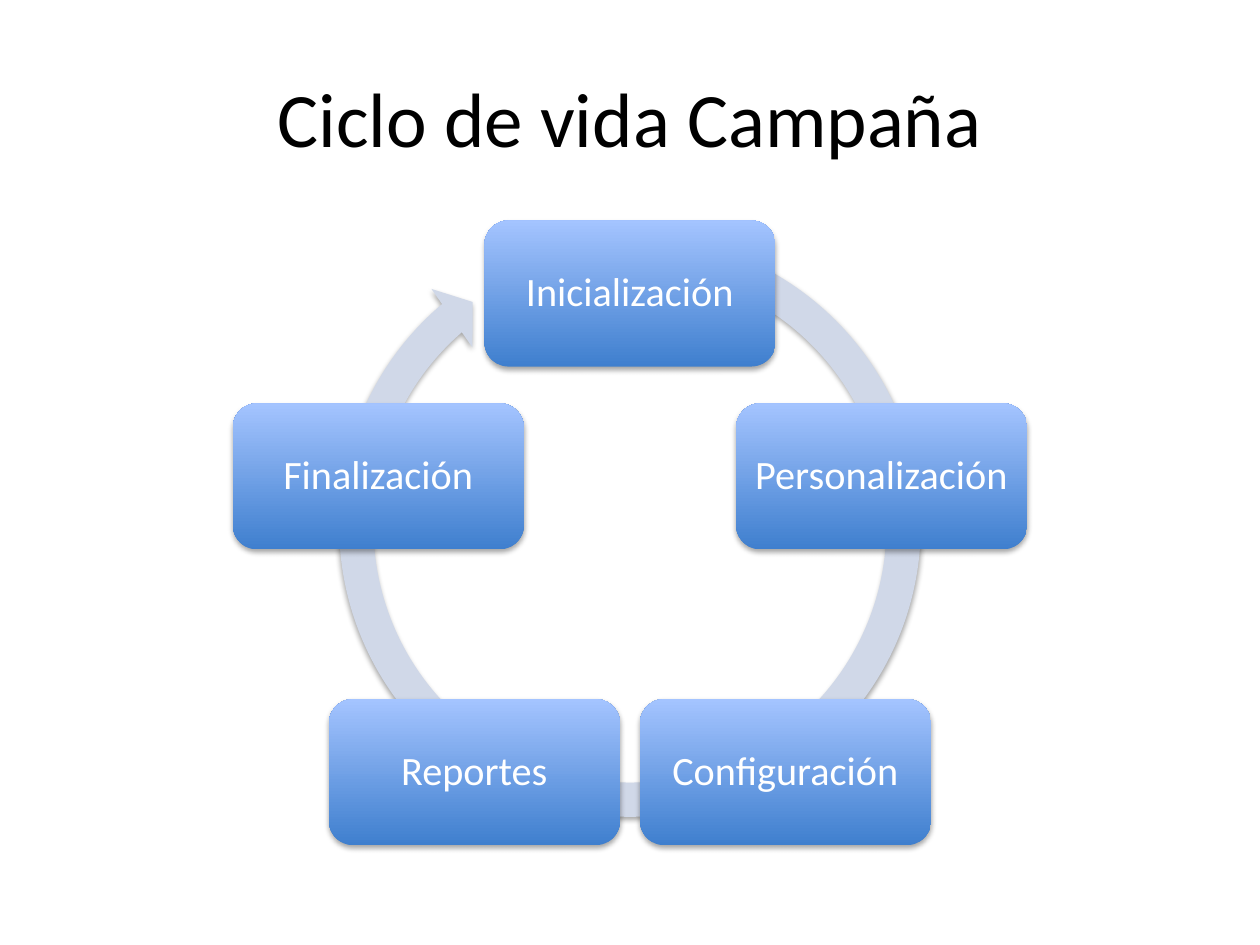
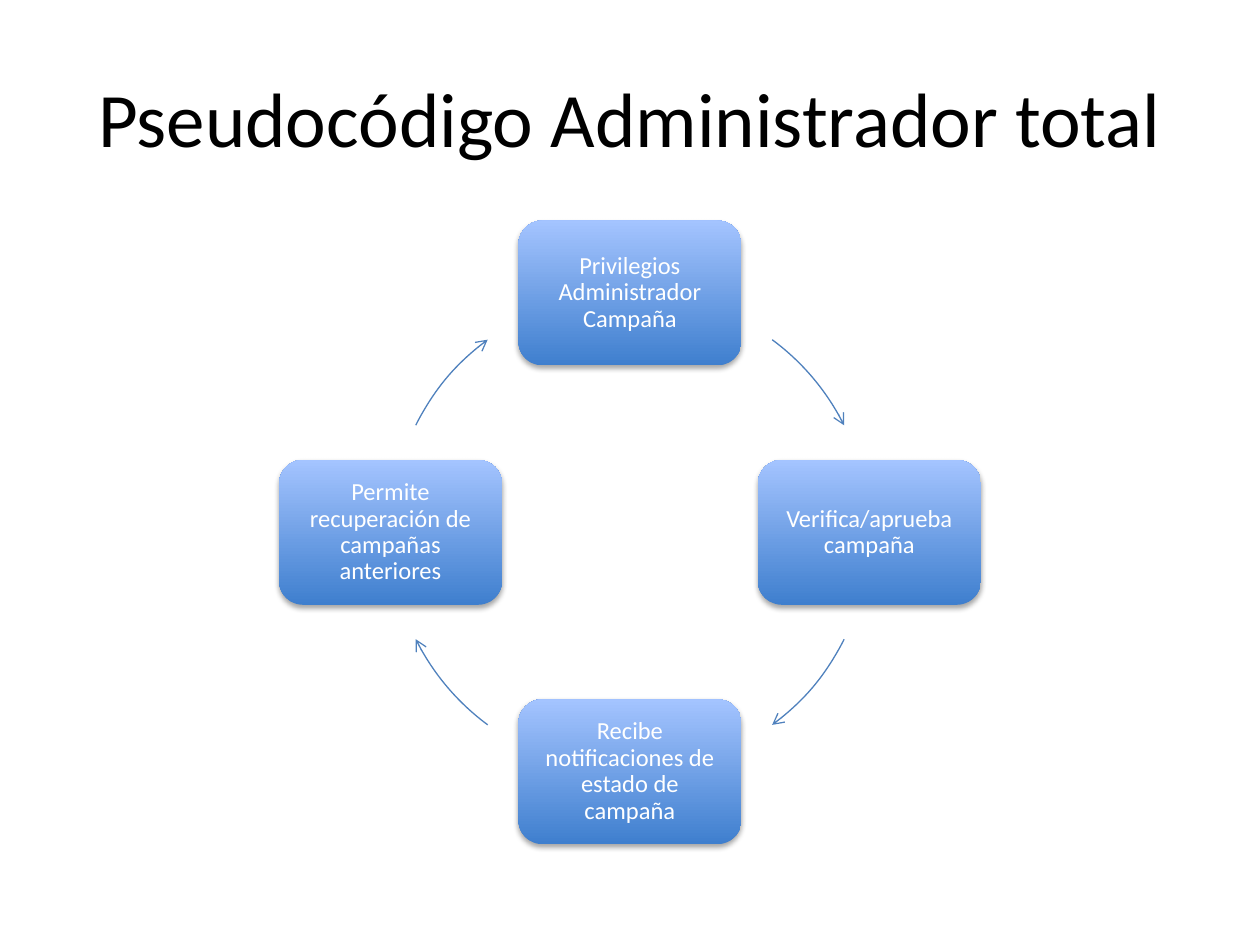
"""Builds two cycle diagrams: the campaign life cycle and the administrator pseudocode."""
from dataclasses import dataclass
from math import cos, radians, sin

from lxml.etree import SubElement
from pptx import Presentation
from pptx.dml.color import RGBColor as RGB
from pptx.enum.shapes import MSO_SHAPE as SHAPE
from pptx.enum.text import MSO_ANCHOR as ANCHOR, PP_ALIGN as ALIGN
from pptx.oxml.ns import qn
from pptx.util import Inches, Pt

LIFE_CYCLE = {
    "title": "Ciclo de vida Campaña",
    "steps": ["Inicialización", "Personalización", "Configuración", "Reportes", "Finalización"],
    "radius": 2.1, "step_size": (2.31, 1.16), "text_size": 23, "inset": 0.05,
}
ADMINISTRATOR = {
    "title": "Pseudocódigo Administrador total",
    "steps": [
        "Privilegios Administrador Campaña",
        "Verifica/aprueba campaña",
        "Recibe notificaciones de estado de campaña",
        "Permite recuperación de campañas anteriores",
    ],
    "radius": 1.9, "step_size": (1.77, 1.15), "text_size": 14, "inset": 0.06,
}
RING = {"top": 1.72, "size": 4.91, "thickness": 5.54, "head_width": 5.76,
        "head_angle": 5.51, "end": 229.43, "start": 289.87}
LINK_SPAN = (36.45, 63.45)


@dataclass(frozen=True)
class Theme:
    """Shared page measures, colours and type."""
    width: float = 10
    height: float = 7.5
    cycle_top: float = 1.75
    title_frame: tuple = (0.5, 0.3, 9, 1.25)
    font: str = "Calibri"
    title_size: int = 44
    title_color: str = "000000"
    step_color: str = "FFFFFF"
    step_low: str = "3F7FCE"
    step_high: str = "A4C4FF"
    ring: str = "D0D8E8"
    link: str = "4F81BD"
    link_width: float = 0.75


THEME = Theme()


def write(shape, text, size, color):
    """Put one centred run of text into a shape."""
    frame = shape.text_frame
    frame.word_wrap = True
    frame.vertical_anchor = ANCHOR.MIDDLE
    paragraph = frame.paragraphs[0]
    paragraph.alignment = ALIGN.CENTER
    run = paragraph.add_run()
    run.text = text
    run.font.name, run.font.size = THEME.font, Pt(size)
    run.font.color.rgb = RGB.from_string(color)
    return frame, paragraph


def add_flat(slide, kind, frame):
    """Add a preset shape without line or shadow."""
    shape = slide.shapes.add_shape(kind, *map(Inches, frame))
    shape.shadow.inherit = False
    shape.line.fill.background()
    return shape


def drop_shadow(shape):
    """Give a shape the soft shadow that falls straight down."""
    effects = shape.element.spPr.find(qn("a:effectLst"))
    shadow = SubElement(effects, qn("a:outerShdw"), blurRad=str(Pt(3.1)), dist=str(Pt(1.8)),
                        dir="5400000", rotWithShape="0")
    black = SubElement(shadow, qn("a:srgbClr"), val="000000")
    SubElement(black, qn("a:alpha"), val="35000")


def angle_value(degrees):
    """Convert degrees to the unit of a shape adjustment."""
    return degrees % 360 * 60000 / 100000


def cycle_center(cycle):
    """Return the middle of a cycle whose first step touches the cycle top."""
    return THEME.width / 2, THEME.cycle_top + cycle["step_size"][1] / 2 + cycle["radius"]


def add_title(slide, text):
    """Add the slide title."""
    title = slide.shapes.add_textbox(*map(Inches, THEME.title_frame))
    write(title, text, THEME.title_size, THEME.title_color)


def add_ring(slide):
    """Add the circular arrow behind the steps."""
    size = RING["size"]
    ring = add_flat(slide, SHAPE.CIRCULAR_ARROW,
                    ((THEME.width - size) / 2, RING["top"], size, size))
    values = (RING["thickness"] / 100, angle_value(RING["head_angle"]), angle_value(RING["end"]),
              angle_value(RING["start"]), RING["head_width"] / 100)
    for index, value in enumerate(values):
        ring.adjustments[index] = value
    ring.fill.solid()
    ring.fill.fore_color.rgb = RGB.from_string(THEME.ring)
    drop_shadow(ring)


def add_steps(slide, cycle):
    """Spread the steps evenly, clockwise from the top."""
    center_x, center_y = cycle_center(cycle)
    width, height = cycle["step_size"]
    for index, text in enumerate(cycle["steps"]):
        turn = radians(360 * index / len(cycle["steps"]))
        x = center_x + cycle["radius"] * sin(turn)
        y = center_y - cycle["radius"] * cos(turn)
        step = add_flat(slide, SHAPE.ROUNDED_RECTANGLE,
                        (x - width / 2, y - height / 2, width, height))
        step.fill.gradient()
        step.fill.gradient_angle = 90
        for stop, color in zip(step.fill.gradient_stops, (THEME.step_low, THEME.step_high)):
            stop.color.rgb = RGB.from_string(color)
        drop_shadow(step)
        frame, paragraph = write(step, text, cycle["text_size"], THEME.step_color)
        paragraph.line_spacing = 0.9
        frame.margin_left = frame.margin_right = Inches(cycle["inset"])
        frame.margin_top = frame.margin_bottom = Inches(cycle["inset"])


def add_links(slide, cycle):
    """Add a curved arrow from each step to the next, mirrored from quarter to quarter."""
    center_x, center_y = cycle_center(cycle)
    radius = cycle["radius"]
    start, end = LINK_SPAN
    spans = (start, end), (90 - end, 90 - start)
    for quarter in range(4):
        link = add_flat(slide, SHAPE.ARC,
                        (center_x - radius, center_y - radius, 2 * radius, 2 * radius))
        for side, angle in enumerate(spans[quarter % 2]):
            link.adjustments[side] = angle_value(angle + 90 * (quarter - 1))
        link.fill.background()
        link.line.color.rgb = RGB.from_string(THEME.link)
        link.line.width = Pt(THEME.link_width)
        SubElement(link.element.spPr.find(qn("a:ln")), qn("a:tailEnd"), type="arrow")


def main():
    """Build and save both slides."""
    deck = Presentation()
    deck.slide_width, deck.slide_height = Inches(THEME.width), Inches(THEME.height)
    blank = deck.slide_layouts[6]

    life_slide = deck.slides.add_slide(blank)
    add_title(life_slide, LIFE_CYCLE["title"])
    add_ring(life_slide)
    add_steps(life_slide, LIFE_CYCLE)

    admin_slide = deck.slides.add_slide(blank)
    add_title(admin_slide, ADMINISTRATOR["title"])
    add_steps(admin_slide, ADMINISTRATOR)
    add_links(admin_slide, ADMINISTRATOR)

    deck.save("out.pptx")


if __name__ == "__main__":
    main()
